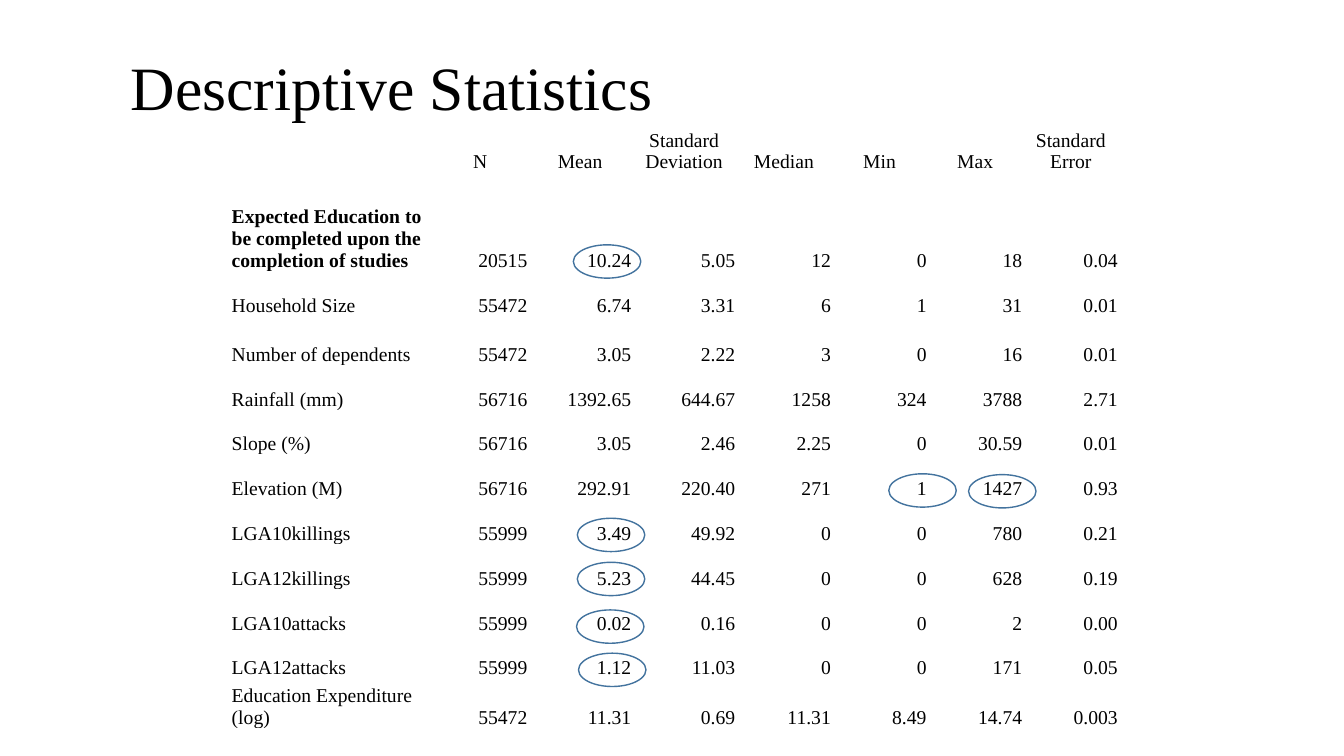
"""Build the Descriptive Statistics slide with its table and circled values."""
import pptx
import pptx.dml.color
import pptx.enum.shapes
import pptx.enum.text
import pptx.util

Cm, Pt = pptx.util.Cm, pptx.util.Pt
ALIGN = pptx.enum.text.PP_ALIGN
ANCHOR = pptx.enum.text.MSO_ANCHOR

BLACK = pptx.dml.color.RGBColor(0x00, 0x00, 0x00)
BLUE = pptx.dml.color.RGBColor(0x43, 0x73, 0x9E)
FONT = "Times New Roman"

TITLE = "Descriptive Statistics"
ROWS = [
    ("", "N", "Mean", "Standard Deviation", "Median", "Min", "Max", "Standard Error"),
    ("Expected Education to be completed upon the completion of studies",
     "20515", "10.24", "5.05", "12", "0", "18", "0.04"),
    ("Household Size", "55472", "6.74", "3.31", "6", "1", "31", "0.01"),
    ("Number of dependents", "55472", "3.05", "2.22", "3", "0", "16", "0.01"),
    ("Rainfall (mm)", "56716", "1392.65", "644.67", "1258", "324", "3788", "2.71"),
    ("Slope (%)", "56716", "3.05", "2.46", "2.25", "0", "30.59", "0.01"),
    ("Elevation (M)", "56716", "292.91", "220.40", "271", "1", "1427", "0.93"),
    ("LGA10killings", "55999", "3.49", "49.92", "0", "0", "780", "0.21"),
    ("LGA12killings", "55999", "5.23", "44.45", "0", "0", "628", "0.19"),
    ("LGA10attacks", "55999", "0.02", "0.16", "0", "0", "2", "0.00"),
    ("LGA12attacks", "55999", "1.12", "11.03", "0", "0", "171", "0.05"),
    ("Education Expenditure (log)",
     "55472", "11.31", "0.69", "11.31", "8.49", "14.74", "0.003"),
]
COL_WIDTHS = [5.08, 2.41, 2.62, 2.62] + [2.41] * 4
ROW_HEIGHTS = [1.24, 2.48, 1.13, 1.24] + [1.13] * 7 + [1.24]
TABLE_LEFT, TABLE_TOP = 5.82, 3.12
CIRCLES = [(14.45, 6.17), (14.55, 13.06), (14.55, 14.17), (14.58, 16.46),
           (14.53, 15.37), (24.41, 11.96), (22.4, 11.94)]
CIRCLE_SIZE = (1.7, 0.84)


def add_run(p, text, size, bold=False):
    r = p.add_run()
    r.text = text
    r.font.name = FONT
    r.font.size = Pt(size)
    r.font.bold = bold
    r.font.color.rgb = BLACK


def add_title(slide):
    tf = slide.shapes.add_textbox(Cm(3.05), Cm(0.25), Cm(27.94), Cm(4.04)).text_frame
    tf.word_wrap = True
    tf.vertical_anchor = ANCHOR.MIDDLE
    p = tf.paragraphs[0]
    p.line_spacing = 0.9
    add_run(p, TITLE, 44)


def fill_cell(cell, text, row, col):
    cell.fill.background()
    cell.vertical_anchor = ANCHOR.BOTTOM
    cell.margin_left = cell.margin_right = cell.margin_top = Cm(0.02)
    cell.margin_bottom = 0
    p = cell.text_frame.paragraphs[0]
    p.font.size = Pt(14)
    if row == 0:
        p.alignment = ALIGN.CENTER
    else:
        p.alignment = ALIGN.RIGHT if col else ALIGN.LEFT
    if text:
        add_run(p, text, 14, bold=(row, col) == (1, 0))


def add_statistics(slide):
    table = slide.shapes.add_table(
        len(ROWS), len(COL_WIDTHS), Cm(TABLE_LEFT), Cm(TABLE_TOP),
        Cm(sum(COL_WIDTHS)), Cm(sum(ROW_HEIGHTS))).table
    table.first_row = table.horz_banding = False
    for column, width in zip(table.columns, COL_WIDTHS):
        column.width = Cm(width)
    for i, (height, values) in enumerate(zip(ROW_HEIGHTS, ROWS)):
        table.rows[i].height = Cm(height)
        for j, text in enumerate(values):
            fill_cell(table.cell(i, j), text, i, j)


def add_circles(slide):
    width, height = CIRCLE_SIZE
    for left, top in CIRCLES:
        sp = slide.shapes.add_shape(pptx.enum.shapes.MSO_SHAPE.OVAL,
                                    Cm(left), Cm(top), Cm(width), Cm(height))
        sp.shadow.inherit = False
        sp.fill.background()
        sp.line.color.rgb = BLUE
        sp.line.width = Pt(1)


def main():
    prs = pptx.Presentation()
    prs.slide_width, prs.slide_height = Cm(33.87), Cm(19.05)
    slide = prs.slides.add_slide(prs.slide_layouts[6])
    add_title(slide)
    add_statistics(slide)
    add_circles(slide)
    prs.save("out.pptx")


if __name__ == "__main__":
    main()
